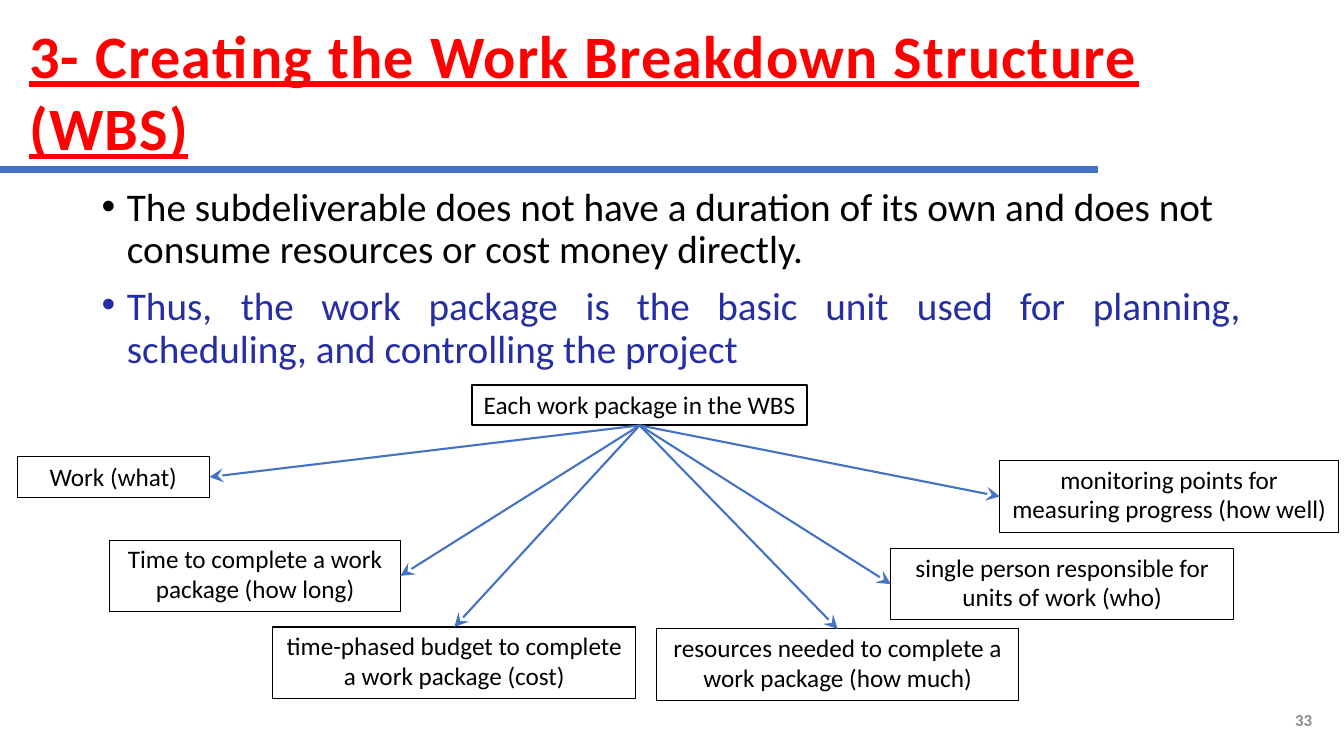
from lxml import etree
from pptx import Presentation
from pptx import util as u
from pptx.dml.color import RGBColor
from pptx.enum import shapes, text
from pptx.oxml.ns import qn

COLORS = {"red": "FF0000", "blue": "4472C4", "indigo": "262EA4",
          "black": "000000", "gray": "898989"}
TOP, LEFT, BOTTOM, RIGHT = 0, 1, 2, 3  # connection sites of a rectangle


class Deck:
    font = "Calibri"

    def __init__(self, prs):
        self.slide = prs.slides.add_slide(prs.slide_layouts[6])

    def color(self, name):
        return RGBColor.from_string(COLORS[name])

    def frame(self, sp, left=0, top=0):
        tf = sp.text_frame
        tf.word_wrap = True
        tf.vertical_anchor = text.MSO_ANCHOR.TOP
        tf.margin_left, tf.margin_top = u.Cm(left), u.Cm(top)
        tf.margin_right = tf.margin_bottom = 0
        return tf

    def run(self, p, words, size, color, bold=False, underline=False, spacing=0):
        r = p.add_run()
        r.text = words
        r.font.name, r.font.size = self.font, u.Pt(size)
        r.font.bold, r.font.underline = bold, underline
        r.font.color.rgb = self.color(color)
        if spacing:
            r.font._element.set("spc", str(round(spacing * 100)))

    def textbox(self, x, y, w, h, left=0, top=0):
        sp = self.slide.shapes.add_textbox(*map(u.Cm, (x, y, w, h)))
        return self.frame(sp, left, top)

    def label(self, x, y, w, h, words, size, color, left=0, top=0, **style):
        tf = self.textbox(x, y, w, h, left, top)
        self.run(tf.paragraphs[0], words, size, color, **style)

    def bullet(self, p, words, color, line, before=0, tabs=()):
        pPr = p._p.get_or_add_pPr()
        pPr.set("marL", str(u.Cm(0.66)))
        pPr.set("indent", str(u.Cm(-0.64)))
        etree.SubElement(pPr, qn("a:buFont"), typeface="Arial")
        etree.SubElement(pPr, qn("a:buChar"), char="•")
        if tabs:
            stops = etree.SubElement(pPr, qn("a:tabLst"))
            for pos in tabs:
                etree.SubElement(stops, qn("a:tab"), pos=str(u.Cm(pos)), algn="l")
        p.line_spacing = u.Pt(line)
        if before:
            p.space_before = u.Pt(before)
        self.run(p, words, 28, color)

    def box(self, x, y, w, lines, border=0.75):
        h = 1.02 if len(lines) == 1 else 1.8
        sp = self.slide.shapes.add_shape(shapes.MSO_SHAPE.RECTANGLE,
                                         *map(u.Cm, (x, y, w, h)))
        sp.shadow.inherit = False
        sp.fill.background()
        sp.line.color.rgb = self.color("black")
        sp.line.width = u.Pt(border)
        p = self.frame(sp, top=0.11).paragraphs[0]
        p.alignment = text.PP_ALIGN.CENTER
        if len(lines) > 1:
            p.line_spacing = u.Pt(21)
        for i, words in enumerate(lines):
            if i:
                p.add_line_break()
            self.run(p, words, 18, "black")
        return sp

    def line(self, width, x1=0, y1=0, x2=0, y2=0):
        c = self.slide.shapes.add_connector(shapes.MSO_CONNECTOR.STRAIGHT,
                                            *map(u.Cm, (x1, y1, x2, y2)))
        c.line.color.rgb = self.color("blue")
        c.line.width = u.Pt(width)
        etree.SubElement(c._element.spPr, qn("a:effectLst"))
        return c

    def arrow(self, source, target, site):
        c = self.line(1.5)
        c.begin_connect(source, BOTTOM)
        c.end_connect(target, site)
        etree.SubElement(c.line._get_or_add_ln(), qn("a:tailEnd"),
                         type="stealth", w="lg", len="lg")


def main():
    prs = Presentation()
    prs.slide_width, prs.slide_height = u.Cm(33.87), u.Cm(19.05)
    s = Deck(prs)

    # Title and rule
    s.line(4.5, 0, 4.27, 27.66, 4.27)
    s.label(0.28, 0.41, 28.78, 3.71, "3- Creating the Work Breakdown Structure (WBS)",
            43, "red", left=0.46, top=0.05, bold=True, underline=True, spacing=0.9)

    # Bullets
    tf = s.textbox(2.54, 4.55, 28.78, 4.83, top=0.18)
    s.bullet(tf.paragraphs[0],
             "The subdeliverable does not have a duration of its own and does not "
             "consume resources or cost money directly.", "black", 30)
    s.bullet(tf.add_paragraph(),
             "Thus,\tthe\twork\tpackage\tis\tthe\tbasic\tunit\tused\tfor\tplanning, "
             "scheduling, and controlling the project", "indigo", 31, 9.2,
             (3.53, 5.56, 8.26, 12.22, 13.51, 15.54, 18.26, 20.57, 23.16, 25))

    # Work package and its attributes
    root = s.box(11.89, 9.7, 8.46, ["Each work package in the WBS"], 1.5)
    attributes = [
        (0.43, 11.51, 4.85, RIGHT, ["Work (what)"]),
        (2.77, 13.61, 7.32, RIGHT, ["Time to complete a work", "package (how long)"]),
        (6.88, 15.8, 9.14, TOP, ["time-phased budget to complete",
                                 "a work package (cost)"]),
        (16.54, 15.85, 9.14, TOP, ["resources needed to complete a",
                                   "work package (how much)"]),
        (22.45, 13.82, 8.64, LEFT, ["single person responsible for",
                                    "units of work (who)"]),
        (25.2, 11.61, 8.53, LEFT, ["monitoring points for",
                                   "measuring progress (how well)"]),
    ]
    for x, y, w, site, lines in attributes:
        s.arrow(root, s.box(x, y, w, lines), site)

    # Slide number
    s.label(32.54, 17.86, 0.69, 0.58, "33", 12, "gray", left=0.1, top=0.03, bold=True)

    prs.save("out.pptx")


if __name__ == "__main__":
    main()
